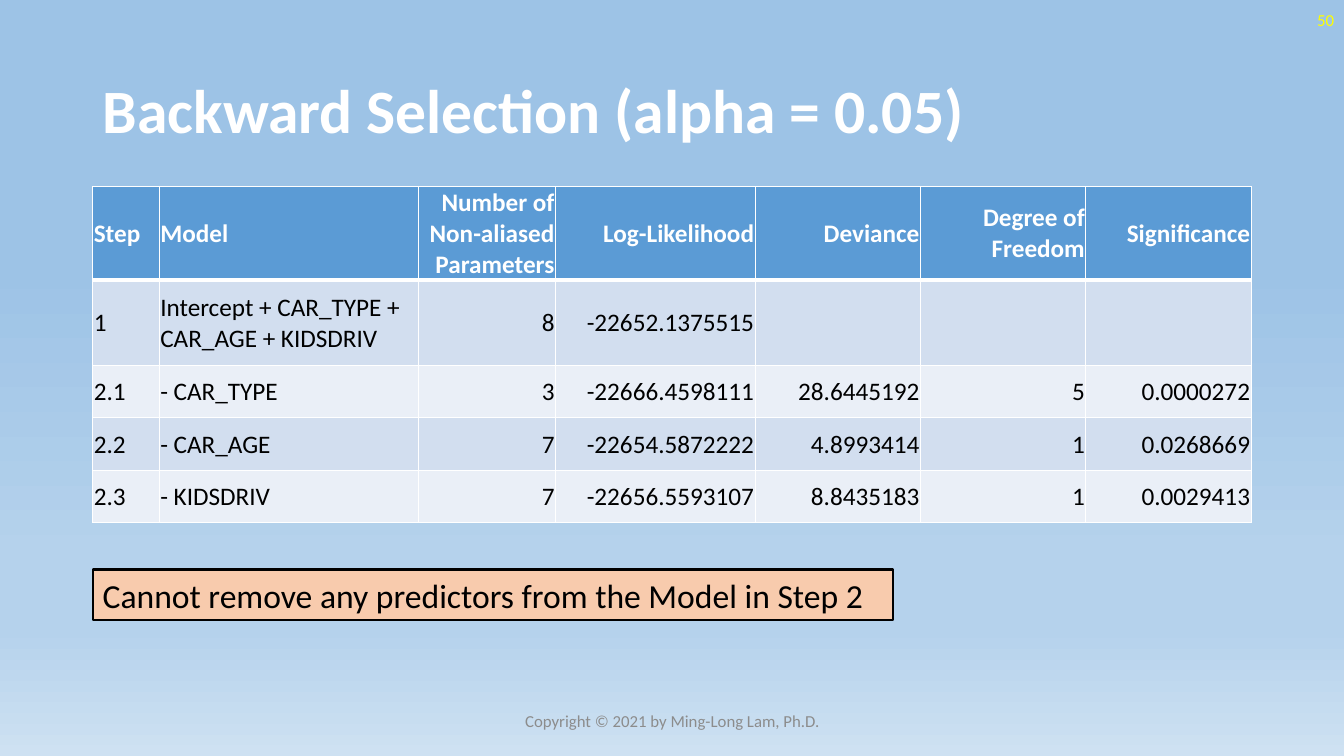
from lxml.etree import SubElement
from pptx import Presentation
from pptx.dml.color import RGBColor
from pptx.enum.shapes import MSO_SHAPE
from pptx.enum.text import MSO_ANCHOR, PP_ALIGN
from pptx.oxml.ns import qn
from pptx.util import Inches, Pt

FONT = "Calibri"
WHITE = RGBColor(0xFF, 0xFF, 0xFF)
BLACK = RGBColor(0x00, 0x00, 0x00)
YELLOW = RGBColor(0xFF, 0xFF, 0x00)
GRAY = RGBColor(0x8C, 0x8C, 0x8C)
PEACH = RGBColor(0xF8, 0xCB, 0xAD)
HEADER_BLUE = RGBColor(0x5B, 0x9B, 0xD5)
BAND_DARK = RGBColor(0xD2, 0xDE, 0xEF)
BAND_LIGHT = RGBColor(0xEA, 0xEF, 0xF7)
SKY = RGBColor(0x9D, 0xC3, 0xE6)
PALE_SKY = RGBColor(0xB5, 0xD2, 0xEC)
MIST = RGBColor(0xCE, 0xE1, 0xF2)

BACKGROUND_STOPS = [(35, SKY), (74, PALE_SKY), (83, PALE_SKY), (100, MIST)]
COLUMN_WIDTHS = [0.66, 2.57, 1.36, 1.98, 1.64, 1.64, 1.64]
ROW_HEIGHTS = [0.91, 0.85, 0.52, 0.52, 0.52]
TEXT_COLUMNS = 2
SELECTION_STEPS = [
    ["Step", "Model", "Number of Non-aliased Parameters", "Log-Likelihood",
     "Deviance", "Degree of Freedom", "Significance"],
    ["1", "Intercept + CAR_TYPE + CAR_AGE + KIDSDRIV", "8", "-22652.1375515", "", "", ""],
    ["2.1", "- CAR_TYPE", "3", "-22666.4598111", "28.6445192", "5", "0.0000272"],
    ["2.2", "- CAR_AGE", "7", "-22654.5872222", "4.8993414", "1", "0.0268669"],
    ["2.3", "- KIDSDRIV", "7", "-22656.5593107", "8.8435183", "1", "0.0029413"],
]


def write_text(text_frame, text, size, color, alignment=PP_ALIGN.LEFT, bold=False):
    paragraph = text_frame.paragraphs[0]
    paragraph.alignment = alignment
    paragraph.font.size = Pt(size)
    if text:
        run = paragraph.add_run()
        run.text = text
        run.font.name = FONT
        run.font.size = Pt(size)
        run.font.bold = bold
        run.font.color.rgb = color
    return paragraph


def set_background(slide):
    fill = slide.background.fill
    fill.gradient()
    fill.gradient_angle = 270
    stop_list = next(slide._element.iter(qn("a:gsLst")))
    for stop in list(stop_list):
        stop_list.remove(stop)
    for percent, color in BACKGROUND_STOPS:
        stop = SubElement(stop_list, qn("a:gs"), pos=str(percent * 1000))
        SubElement(stop, qn("a:srgbClr"), val=str(color))


def add_title(slide, text):
    title = slide.shapes.title
    title.left, title.top = Inches(0.92), Inches(0.4)
    title.width, title.height = Inches(11.5), Inches(1.45)
    title.text_frame.vertical_anchor = MSO_ANCHOR.MIDDLE
    paragraph = write_text(title.text_frame, text, 44, WHITE, bold=True)
    paragraph.line_spacing = 0.9


def add_label(slide, text, left, top, width, color, alignment):
    box = slide.shapes.add_textbox(Inches(left), Inches(top), Inches(width), Inches(0.4))
    box.text_frame.word_wrap = True
    box.text_frame.vertical_anchor = MSO_ANCHOR.MIDDLE
    write_text(box.text_frame, text, 12, color, alignment)


def add_borders(cell, top_width, bottom_width):
    properties = cell._tc.get_or_add_tcPr()
    for side, width in (("L", 1), ("R", 1), ("T", top_width), ("B", bottom_width)):
        line = SubElement(properties, qn(f"a:ln{side}"), w=str(Pt(width)))
        fill = SubElement(line, qn("a:solidFill"))
        SubElement(fill, qn("a:srgbClr"), val=str(WHITE))


def format_cell(cell, text, row, column):
    is_header = row == 0
    add_borders(cell, 3 if row == 1 else 1, 3 if is_header else 1)
    cell.fill.solid()
    if is_header:
        cell.fill.fore_color.rgb = HEADER_BLUE
    else:
        cell.fill.fore_color.rgb = BAND_DARK if row % 2 else BAND_LIGHT
    cell.margin_left = cell.margin_right = cell.margin_top = Inches(0.01)
    cell.margin_bottom = 0
    cell.vertical_anchor = MSO_ANCHOR.MIDDLE
    alignment = PP_ALIGN.LEFT if column < TEXT_COLUMNS else PP_ALIGN.RIGHT
    write_text(cell.text_frame, text, 18, WHITE if is_header else BLACK,
               alignment, is_header)


def add_selection_table(slide):
    table = slide.shapes.add_table(
        len(ROW_HEIGHTS), len(COLUMN_WIDTHS),
        Inches(0.92), Inches(1.85), Inches(11.5), Inches(3.32)).table
    for column, width in zip(table.columns, COLUMN_WIDTHS):
        column.width = Inches(width)
    for row, height in zip(table.rows, ROW_HEIGHTS):
        row.height = Inches(height)
    for row, values in enumerate(SELECTION_STEPS):
        for column, text in enumerate(values):
            format_cell(table.cell(row, column), text, row, column)


def add_conclusion(slide, text):
    shape = slide.shapes.add_shape(
        MSO_SHAPE.RECTANGLE, Inches(0.92), Inches(5.65), Inches(7.94), Inches(0.5))
    shape.shadow.inherit = False
    shape.fill.solid()
    shape.fill.fore_color.rgb = PEACH
    shape.line.color.rgb = BLACK
    shape.line.width = Pt(1.5)
    shape.text_frame.word_wrap = True
    shape.text_frame.vertical_anchor = MSO_ANCHOR.TOP
    write_text(shape.text_frame, text, 24, BLACK)


def main():
    presentation = Presentation()
    presentation.slide_width = Inches(13.33)
    presentation.slide_height = Inches(7.5)
    slide = presentation.slides.add_slide(presentation.slide_layouts[5])
    set_background(slide)
    add_title(slide, "Backward Selection (alpha = 0.05)")
    add_selection_table(slide)
    add_label(slide, "50", 10.33, 0, 3, YELLOW, PP_ALIGN.RIGHT)
    add_conclusion(slide, "Cannot remove any predictors from the Model in Step 2")
    add_label(slide, "Copyright © 2021 by Ming-Long Lam, Ph.D.", 4.42, 6.95, 4.5,
              GRAY, PP_ALIGN.CENTER)
    presentation.save("out.pptx")


if __name__ == "__main__":
    main()
